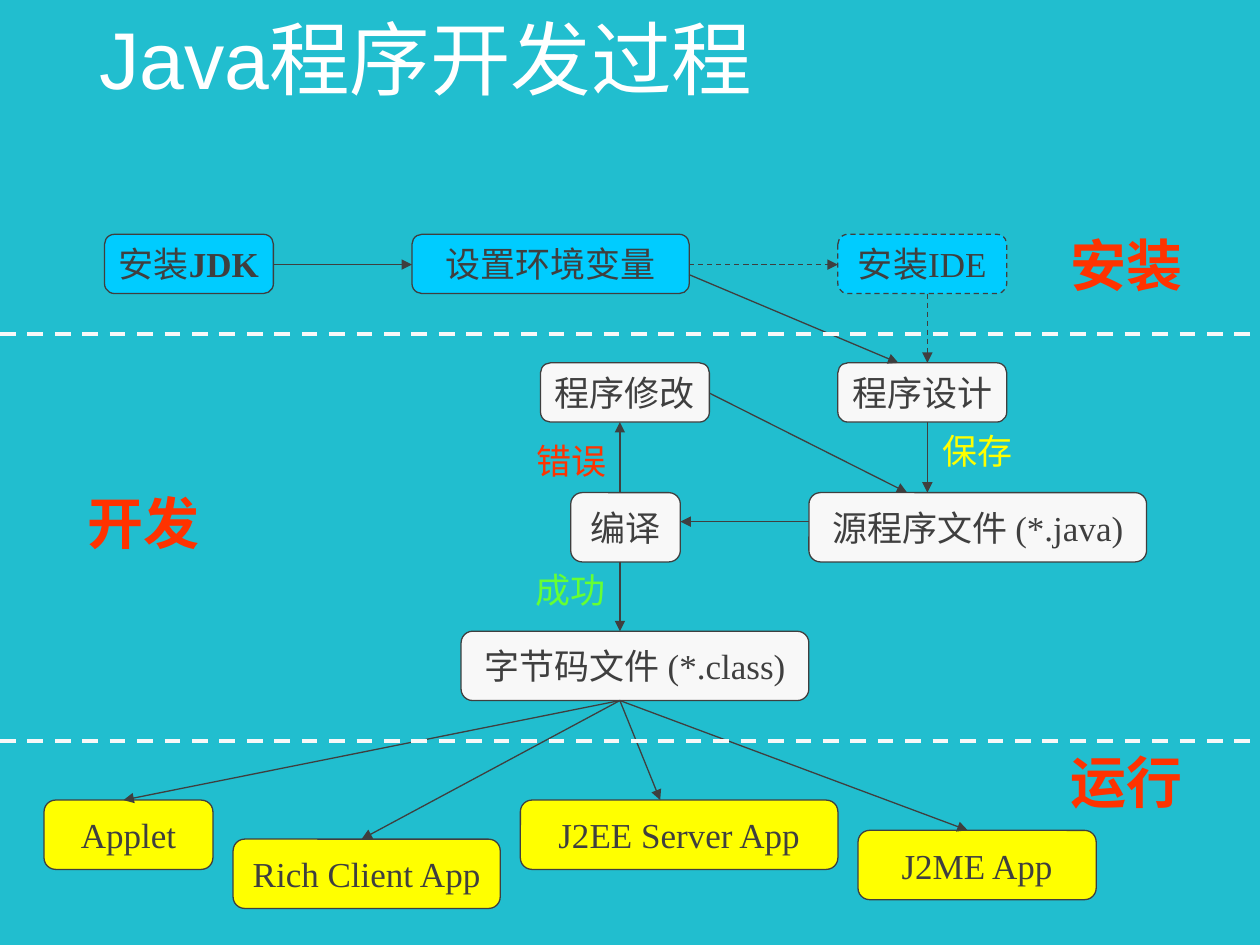
from dataclasses import dataclass

from lxml.etree import SubElement
from pptx import Presentation
from pptx.dml.color import RGBColor
from pptx.enum.dml import MSO_LINE
from pptx.enum.shapes import MSO_CONNECTOR, MSO_SHAPE
from pptx.enum.text import MSO_ANCHOR, MSO_AUTO_SIZE, PP_ALIGN
from pptx.oxml.ns import qn
from pptx.util import Inches, Pt


@dataclass(frozen=True)
class Theme:
    background: str = "21BECF"
    title: str = "FFFFFF"
    ink: str = "3F3F3F"
    install: str = "00CCFF"
    develop: str = "F8F8F8"
    run: str = "FFFF00"
    stage: str = "FF3300"
    success: str = "66FF33"
    sans: str = "Arial"
    serif: str = "Times New Roman"
    title_size: float = 46
    stage_size: float = 32
    body_size: float = 20
    thin: float = 0.75
    thick: float = 2.25


THEME = Theme()
WIDTH, HEIGHT = 10, 7.5
TITLE = "Java程序开发过程"

# Rows of the flow: top and height
ROWS = {
    "setup": (1.86, 0.47), "edit": (2.88, 0.47), "build": (3.91, 0.55),
    "bytecode": (5.01, 0.55), "run_high": (6.35, 0.55),
    "run_mid": (6.59, 0.55), "run_low": (6.66, 0.55),
}
STEP = 1.34      # width of a standard step
COMPILE_X = 4.92  # vertical axis of compiling
DESIGN_X = 7.36   # vertical axis of designing
SETUP_Y, BUILD_Y = 2.1, 4.14

# key: row, left, width, fill, text runs as (text, bold)
BOXES = {
    "jdk": ("setup", 0.83, STEP, THEME.install, [("安装", False), ("JDK", True)]),
    "env": ("setup", 3.27, 2.2, THEME.install, [("设置环境变量", False)]),
    "ide": ("setup", 6.65, STEP, THEME.install, [("安装IDE", False)]),
    "source": ("build", 6.42, 2.68, THEME.develop, [("源程序文件 (*.java)", False)]),
    "compile": ("build", 4.53, 0.87, THEME.develop, [("编译", False)]),
    "bytecode": ("bytecode", 3.66, 2.76, THEME.develop, [("字节码文件 (*.class)", False)]),
    "design": ("edit", 6.65, STEP, THEME.develop, [("程序设计", False)]),
    "modify": ("edit", 4.29, STEP, THEME.develop, [("程序修改", False)]),
    "applet": ("run_high", 0.35, STEP, THEME.run, [("Applet", False)]),
    "rich": ("run_low", 1.85, 2.12, THEME.run, [("Rich Client App", False)]),
    "j2ee": ("run_high", 4.13, 2.52, THEME.run, [("J2EE Server App", False)]),
    "j2me": ("run_mid", 6.81, 1.89, THEME.run, [("J2ME App", False)]),
}
OPTIONAL = {"ide"}

# Ends of each arrow: box, side, position along that side
ARROWS = [
    (("jdk", "right", SETUP_Y), ("env", "left", SETUP_Y)),
    (("env", "right", SETUP_Y), ("ide", "left", SETUP_Y)),
    (("env", "right", 2.18), ("design", "top", 7.13)),
    (("ide", "bottom", DESIGN_X), ("design", "top", DESIGN_X)),
    (("modify", "right", 3.12), ("source", "top", 7.2)),
    (("design", "bottom", DESIGN_X), ("source", "top", DESIGN_X)),
    (("source", "left", BUILD_Y), ("compile", "right", BUILD_Y)),
    (("compile", "top", COMPILE_X), ("modify", "bottom", COMPILE_X)),
    (("compile", "bottom", COMPILE_X), ("bytecode", "top", COMPILE_X)),
] + [
    (("bytecode", "bottom", COMPILE_X), (app, "top", x))
    for app, x in [("applet", 0.98), ("rich", 2.87), ("j2ee", 5.24), ("j2me", 7.68)]
]
DIVIDERS = [2.65, 5.88]

RESULT_SIZE, STAGE_SIZE = (0.95, 0.43), (1.26, 0.63)
RESULTS = [
    ("错误", 4.06, 3.44, THEME.stage),
    ("成功", 4.05, 4.46, THEME.success),
    ("保存", 7.28, 3.36, THEME.run),
]
STAGES = [("安装", 8.31, 1.78), ("开发", 0.51, 3.83), ("运行", 8.31, 5.88)]


def rgb(color):
    return RGBColor.from_string(color)


def add_run(paragraph, text, color, **formats):
    run = paragraph.add_run()
    run.text = text
    run.font.color.rgb = rgb(color)
    for name, value in formats.items():
        setattr(run.font, name, value)


def style_line(line, color, weight, dashed):
    line.color.rgb = rgb(color)
    line.width = Pt(weight)
    if dashed:
        line.dash_style = MSO_LINE.DASH


def add_box(shapes, key):
    row, left, width, fill, runs = BOXES[key]
    top, height = ROWS[row]
    box = shapes.add_shape(MSO_SHAPE.FLOWCHART_ALTERNATE_PROCESS,
                           *map(Inches, (left, top, width, height)))
    box.shadow.inherit = False
    box.fill.solid()
    box.fill.fore_color.rgb = rgb(fill)
    style_line(box.line, THEME.ink, THEME.thin, key in OPTIONAL)
    frame = box.text_frame
    frame.word_wrap = False
    frame.vertical_anchor = MSO_ANCHOR.MIDDLE
    frame.paragraphs[0].alignment = PP_ALIGN.CENTER
    for text, bold in runs:
        add_run(frame.paragraphs[0], text, THEME.ink, name=THEME.serif,
                size=Pt(THEME.body_size), bold=bold)


def port(key, side, along):
    """Return the point on one side of a box, at a given coordinate along it."""
    row, left, width, *_ = BOXES[key]
    top, height = ROWS[row]
    return {"left": (left, along), "right": (left + width, along),
            "top": (along, top), "bottom": (along, top + height)}[side]


def add_line(shapes, start, end, color, weight, dashed=False, arrow=False):
    line = shapes.add_connector(MSO_CONNECTOR.STRAIGHT, *map(Inches, start + end))
    style_line(line.line, color, weight, dashed)
    properties = line._element.spPr
    if arrow:
        SubElement(properties.find(qn("a:ln")), qn("a:tailEnd"), type="triangle")
    SubElement(properties, qn("a:effectLst"))


def add_label(shapes, text, left, top, extent, color, size, bold=False):
    label = shapes.add_textbox(*map(Inches, (left, top, *extent)))
    frame = label.text_frame
    frame.word_wrap = True
    frame.auto_size = MSO_AUTO_SIZE.SHAPE_TO_FIT_TEXT
    frame.paragraphs[0].alignment = PP_ALIGN.CENTER
    add_run(frame.paragraphs[0], text, color, name=THEME.sans, size=Pt(size), bold=bold)


def add_title(slide):
    title = slide.shapes.title
    bounds = {"left": 0.69, "top": 0, "width": 8.62, "height": 1}
    for name, value in bounds.items():
        setattr(title, name, Inches(value))
    frame = title.text_frame
    frame.auto_size = MSO_AUTO_SIZE.NONE
    frame.vertical_anchor = MSO_ANCHOR.MIDDLE
    paragraph = frame.paragraphs[0]
    paragraph.alignment = PP_ALIGN.LEFT
    paragraph.line_spacing = 0.9
    add_run(paragraph, TITLE, THEME.title, name=THEME.sans, size=Pt(THEME.title_size))


def main():
    deck = Presentation()
    deck.slide_width, deck.slide_height = Inches(WIDTH), Inches(HEIGHT)
    slide = deck.slides.add_slide(deck.slide_layouts.get_by_name("Title Only"))
    slide.background.fill.solid()
    slide.background.fill.fore_color.rgb = rgb(THEME.background)
    shapes = slide.shapes

    add_title(slide)
    for key in BOXES:
        add_box(shapes, key)
    for start, end in ARROWS:
        optional = bool(OPTIONAL & {start[0], end[0]})
        add_line(shapes, port(*start), port(*end), THEME.ink, THEME.thin, optional, arrow=True)
    for y in DIVIDERS:
        add_line(shapes, (0, y), (WIDTH, y), THEME.develop, THEME.thick, dashed=True)
    for text, left, top, color in RESULTS:
        add_label(shapes, text, left, top, RESULT_SIZE, color, THEME.body_size)
    for text, left, top in STAGES:
        add_label(shapes, text, left, top, STAGE_SIZE, THEME.stage, THEME.stage_size, bold=True)
    deck.save("out.pptx")


if __name__ == "__main__":
    main()
